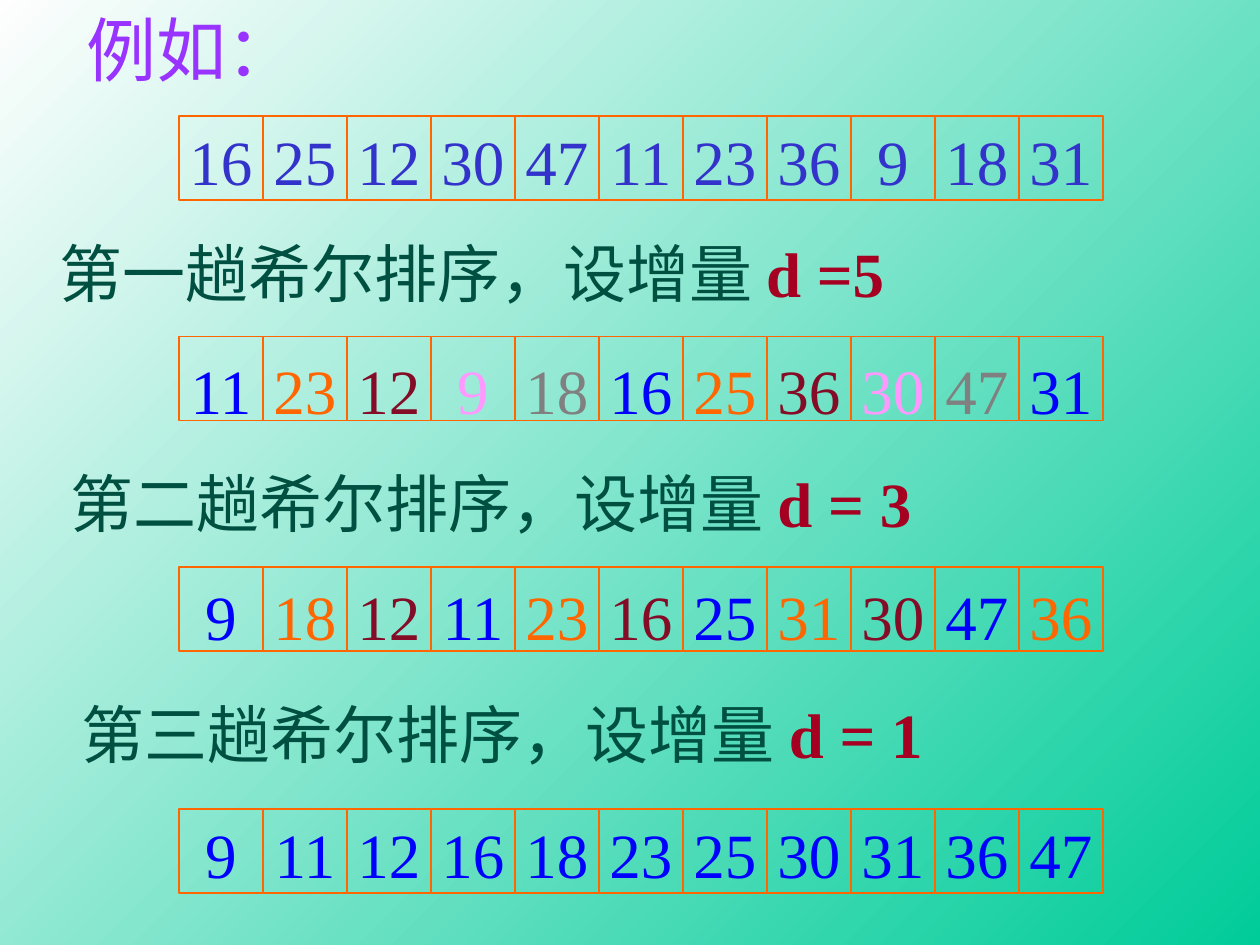
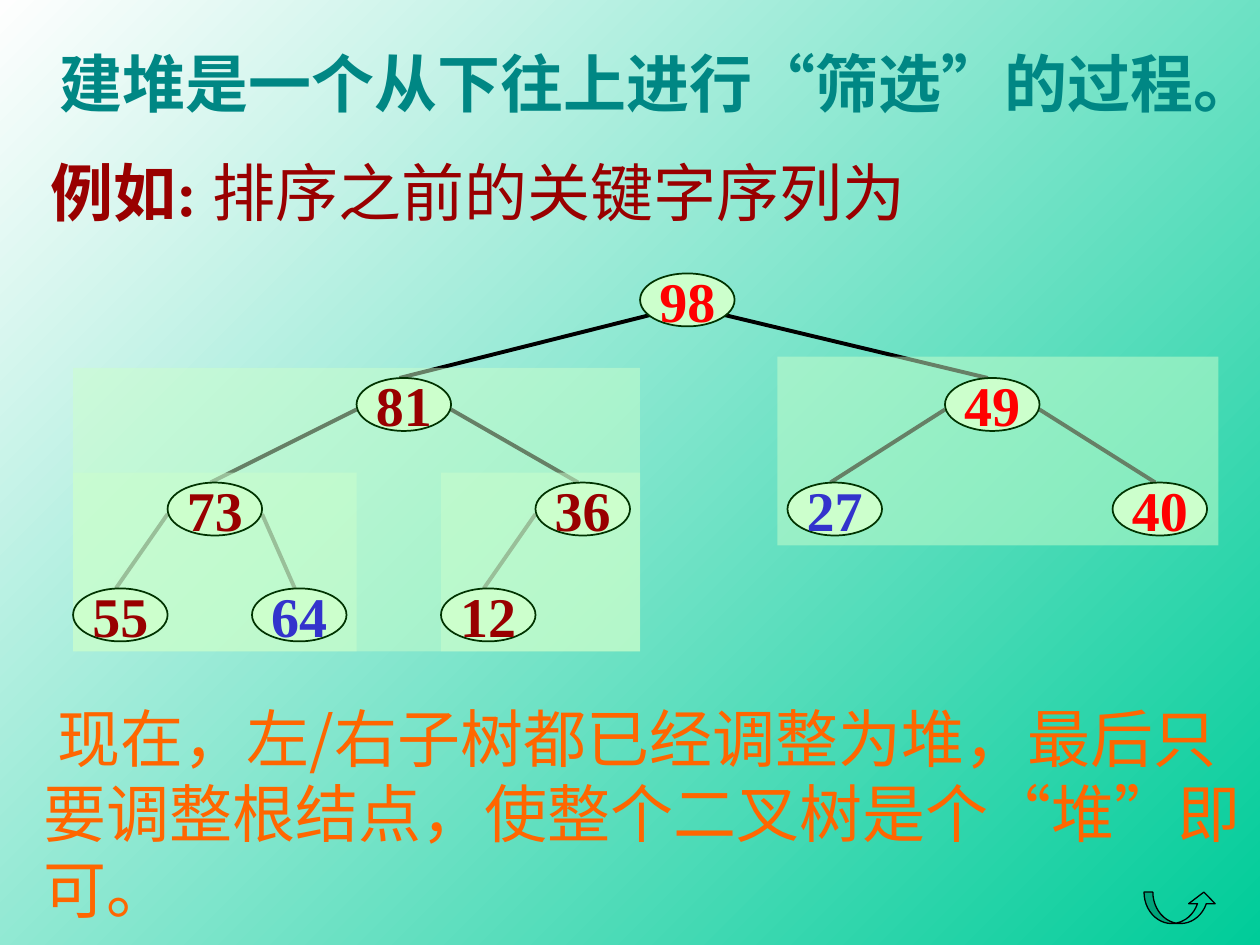
from dataclasses import dataclass

from lxml import etree
from pptx import Presentation
from pptx.dml.color import RGBColor
from pptx.enum.shapes import MSO_CONNECTOR, MSO_SHAPE
from pptx.enum.text import MSO_ANCHOR, MSO_AUTO_SIZE, PP_ALIGN
from pptx.oxml.ns import qn
from pptx.util import Inches, Pt


@dataclass(frozen=True)
class Theme:
    latin: str = "Times New Roman"
    chinese: str = "Noto Sans CJK SC"
    title_size: int = 40
    text_size: int = 36
    node_size: int = 32
    green: str = "00CC99"
    white: str = "FEFEFE"
    purple: str = "9933FF"
    indigo: str = "3333CC"
    blue: str = "0000FF"
    orange: str = "FF6600"
    maroon: str = "840C26"
    pink: str = "FF99FF"
    gray: str = "808080"
    forest: str = "005042"
    crimson: str = "A50021"
    teal: str = "008784"
    brown: str = "990000"
    red: str = "FF0000"
    mint: str = "CCFFCC"
    outline: str = "003300"
    black: str = "000000"


THEME = Theme()
CELL_SIZE = 2 / 3
CELL_COUNT = 11
NODE_WIDTH, NODE_HEIGHT = 0.75, 0.42

PASSES = [
    (0.92, 0.02, "16 25 12 30 47 11 23 36 9 18 31", [THEME.indigo]),
    (2.67, 0.09, "11 23 12 9 18 16 25 36 30 47 31",
     [THEME.blue, THEME.orange, THEME.maroon, THEME.pink, THEME.gray]),
    (4.5, 0.05, "9 18 12 11 23 16 25 31 30 47 36",
     [THEME.blue, THEME.orange, THEME.maroon]),
    (6.42, 0.02, "9 11 12 16 18 23 25 30 31 36 47", [THEME.blue]),
]
PASS_HEADINGS = [
    (0.37, 1.81, "第一趟希尔排序，设增量 ", "d =5"),
    (0.46, 3.64, "第二趟希尔排序，设增量 ", "d = 3"),
    (0.55, 5.47, "第三趟希尔排序，设增量 ", "d = 1"),
]
NODES = {
    "98": (5.08, 2.17, THEME.red),
    "81": (2.83, 3, THEME.brown),
    "49": (7.5, 3, THEME.red),
    "73": (1.33, 3.83, THEME.brown),
    "36": (4.25, 3.83, THEME.brown),
    "27": (6.25, 3.83, THEME.indigo),
    "40": (8.83, 3.83, THEME.red),
    "55": (0.58, 4.67, THEME.brown),
    "64": (2, 4.67, THEME.indigo),
    "12": (3.5, 4.67, THEME.brown),
}
CHILDREN = {"98": ("81", "49"), "81": ("73", "36"), "49": ("27", "40"),
            "73": ("55", "64"), "36": ("12",)}
SUBTREES = [(3.5, 3.75, 1.58, 1.42), (0.58, 3.75, 2.25, 1.42),
            (6.17, 2.83, 3.5, 1.5), (0.58, 2.92, 4.5, 2.25)]


def box_lengths(box):
    return [Inches(value) for value in box]


def color(value):
    return RGBColor.from_string(value)


def format_run(run, size, run_color, bold=False, font_name=THEME.latin):
    run.font.name = font_name
    run.font.size = Pt(size)
    run.font.bold = bold
    run.font.color.rgb = color(run_color)


def add_run(paragraph, text, size, run_color, bold=False):
    run = paragraph.add_run()
    run.text = text
    format_run(run, size, run_color, bold)


def prepare_frame(shape):
    frame = shape.text_frame
    frame.word_wrap = True
    frame.auto_size = MSO_AUTO_SIZE.NONE
    frame.vertical_anchor = MSO_ANCHOR.TOP
    frame.margin_right = 0
    return frame


def add_text_box(shapes, box):
    return prepare_frame(shapes.add_textbox(*box_lengths(box)))


def add_line(shapes, start, end, line_color, width):
    line = shapes.add_connector(MSO_CONNECTOR.STRAIGHT,
                                *box_lengths(start + end))
    line.line.color.rgb = color(line_color)
    line.line.width = Pt(width)
    etree.SubElement(line._element.spPr, qn("a:effectLst"))


def add_filled_shape(shapes, kind, box, fill_color=None, line_color=None, width=1):
    shape = shapes.add_shape(kind, *box_lengths(box))
    shape.shadow.inherit = False
    if fill_color:
        shape.fill.solid()
        shape.fill.fore_color.rgb = color(fill_color)
    else:
        shape.fill.background()
    if line_color:
        shape.line.color.rgb = color(line_color)
        shape.line.width = Pt(width)
    else:
        shape.line.fill.background()
    return shape


def set_title(slide, box, text, size, title_color, bold=False):
    title = slide.shapes.title
    title.left, title.top, title.width, title.height = box_lengths(box)
    frame = prepare_frame(title)
    frame.text = text
    paragraph = frame.paragraphs[0]
    paragraph.alignment = PP_ALIGN.LEFT
    format_run(paragraph.runs[0], size, title_color, bold)


def add_heading(slide, box, parts):
    paragraph = add_text_box(slide.shapes, box).paragraphs[0]
    for text, text_color, bold in parts:
        add_run(paragraph, text, THEME.text_size, text_color, bold)


def add_cell_tabs(paragraph):
    tabs = etree.SubElement(paragraph._p.get_or_add_pPr(), qn("a:tabLst"))
    for index in range(CELL_COUNT):
        position = Inches((index + 0.5) * CELL_SIZE)
        etree.SubElement(tabs, qn("a:tab"), pos=str(position), algn="ctr")


def add_number_row(slide, left, top, drop, numbers, colors):
    shapes = slide.shapes.add_group_shape().shapes
    width = CELL_COUNT * CELL_SIZE
    add_filled_shape(shapes, MSO_SHAPE.RECTANGLE, (left, top, width, CELL_SIZE),
                     line_color=THEME.orange, width=0.75)
    for index in range(1, CELL_COUNT):
        x = left + index * CELL_SIZE
        add_line(shapes, (x, top), (x, top + CELL_SIZE), THEME.orange, 0.75)
    frame = add_text_box(shapes, (left, top + drop, width, CELL_SIZE))
    frame.margin_left = 0
    frame.vertical_anchor = MSO_ANCHOR.MIDDLE
    paragraph = frame.paragraphs[0]
    add_cell_tabs(paragraph)
    for index, number in enumerate(numbers.split()):
        add_run(paragraph, "\t" + number, THEME.text_size,
                colors[index % len(colors)])


def add_tree_edges(slide):
    shapes = slide.shapes.add_group_shape().shapes
    for parent, children in CHILDREN.items():
        parent_left, parent_top, _ = NODES[parent]
        inset, drop = (0.08, 0.33) if parent == "98" else (0, 0.25)
        starts = (parent_left + inset, parent_left + NODE_WIDTH - inset)
        for start, child in zip(starts, children):
            child_left, child_top, _ = NODES[child]
            add_line(shapes, (start, parent_top + drop),
                     (child_left + 0.34, child_top), THEME.black, 2.25)


def add_subtree_panel(slide, box):
    panel = add_filled_shape(slide.shapes, MSO_SHAPE.RECTANGLE, box, THEME.mint)
    fill_color = panel._element.spPr.find(qn("a:solidFill"))[0]
    etree.SubElement(fill_color, qn("a:alpha"), val="50000")


def add_node(slide, key, left, top, key_color):
    node = add_filled_shape(slide.shapes, MSO_SHAPE.OVAL,
                            (left, top, NODE_WIDTH, NODE_HEIGHT),
                            THEME.mint, THEME.outline)
    frame = node.text_frame
    frame.word_wrap = False
    frame.vertical_anchor = MSO_ANCHOR.MIDDLE
    frame.text = key
    paragraph = frame.paragraphs[0]
    paragraph.alignment = PP_ALIGN.CENTER
    format_run(paragraph.runs[0], THEME.node_size, key_color, True)


def add_conclusion(slide, box):
    frame = add_text_box(slide.shapes, box)
    frame.text = ("现在，左/右子树都已经调整为堆，最后只要调整根结点，"
                  "使整个二叉树是个“堆”即可。")
    paragraph = frame.paragraphs[0]
    paragraph._p.get_or_add_pPr().set("indent", str(Inches(0.11)))
    format_run(paragraph.runs[0], THEME.text_size, THEME.orange,
               font_name=THEME.chinese)


def add_return_arrow(slide, box):
    arrow = add_filled_shape(slide.shapes, MSO_SHAPE.CURVED_UP_ARROW, box,
                             THEME.green, THEME.black, 0.75)
    for index, value in enumerate((0.28, 0.84, 0.37)):
        arrow.adjustments[index] = value


def set_background(presentation):
    fill = presentation.slide_master.background.fill
    fill.gradient()
    fill.gradient_angle = 135
    for stop, stop_color, position in zip(
            fill.gradient_stops, (THEME.green, THEME.white), (0, 1)):
        stop.color.rgb = color(stop_color)
        stop.position = position


def build_shell_sort_slide(slide):
    set_title(slide, (0.59, 0, 1.86, 0.77), "例如：",
              THEME.title_size, THEME.purple)
    for top, drop, numbers, colors in PASSES:
        add_number_row(slide, 1.42, top, drop, numbers, colors)
    for left, top, text, increment in PASS_HEADINGS:
        add_heading(slide, (left, top, 7.28, 0.7),
                    [(text, THEME.forest, False), (increment, THEME.crimson, True)])


def build_heap_slide(slide):
    set_title(slide, (0.37, 0.3, 9.63, 0.7),
              "建堆是一个从下往上进行“筛选”的过程。",
              THEME.text_size, THEME.teal, True)
    add_tree_edges(slide)
    add_heading(slide, (0.3, 1.17, 7.23, 0.7),
                [("例如: ", THEME.brown, True),
                 ("排序之前的关键字序列为", THEME.brown, False)])
    for box in SUBTREES:
        add_subtree_panel(slide, box)
    for key, (left, top, key_color) in NODES.items():
        add_node(slide, key, left, top, key_color)
    add_conclusion(slide, (0.25, 5.5, 9.6, 1.9))
    add_return_arrow(slide, (9.08, 7.08, 0.58, 0.25))


def main():
    presentation = Presentation()
    presentation.slide_width = Inches(10)
    presentation.slide_height = Inches(7.5)
    set_background(presentation)
    title_only = presentation.slide_layouts[5]
    for build in (build_shell_sort_slide, build_heap_slide):
        build(presentation.slides.add_slide(title_only))
    presentation.save("out.pptx")


if __name__ == "__main__":
    main()
